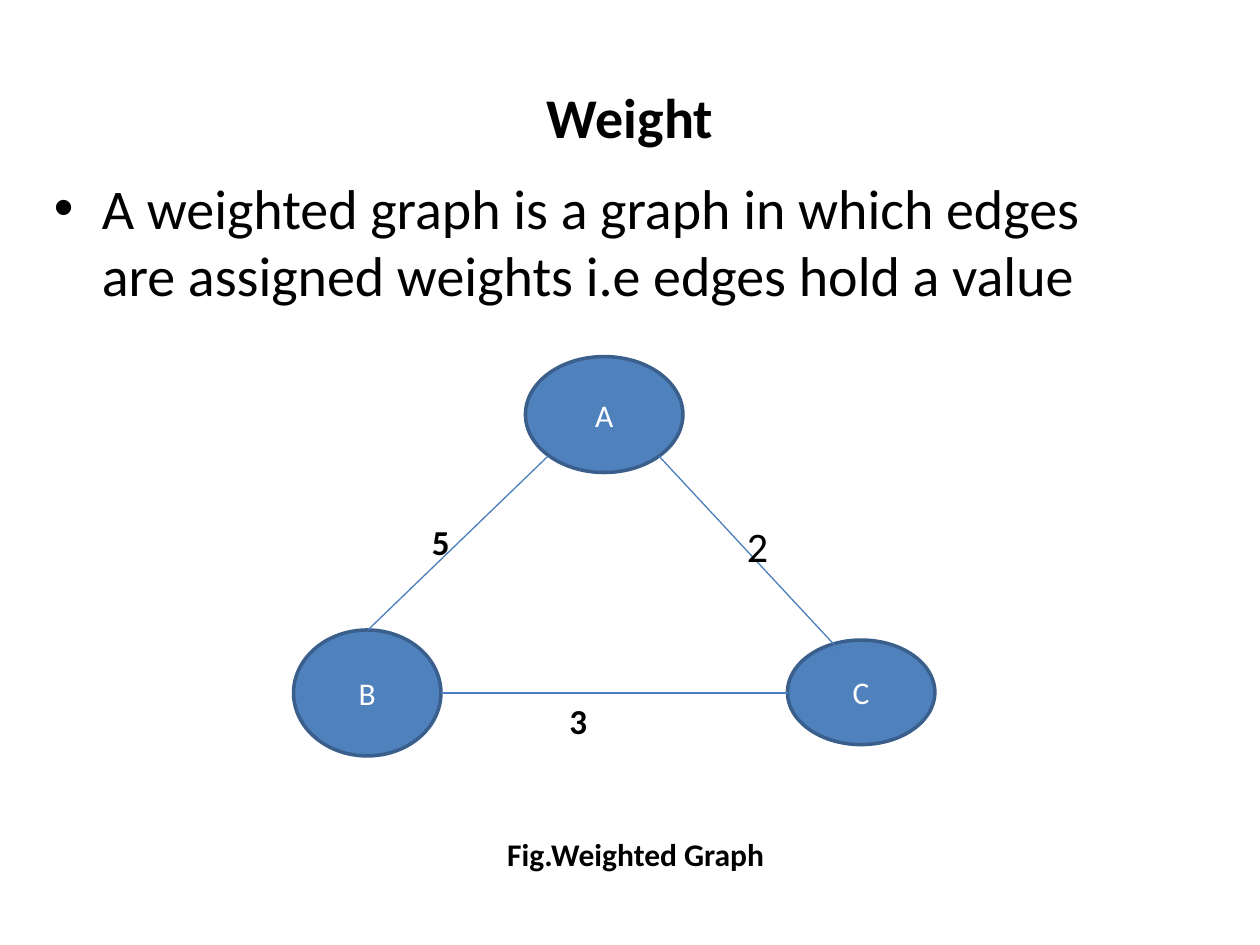
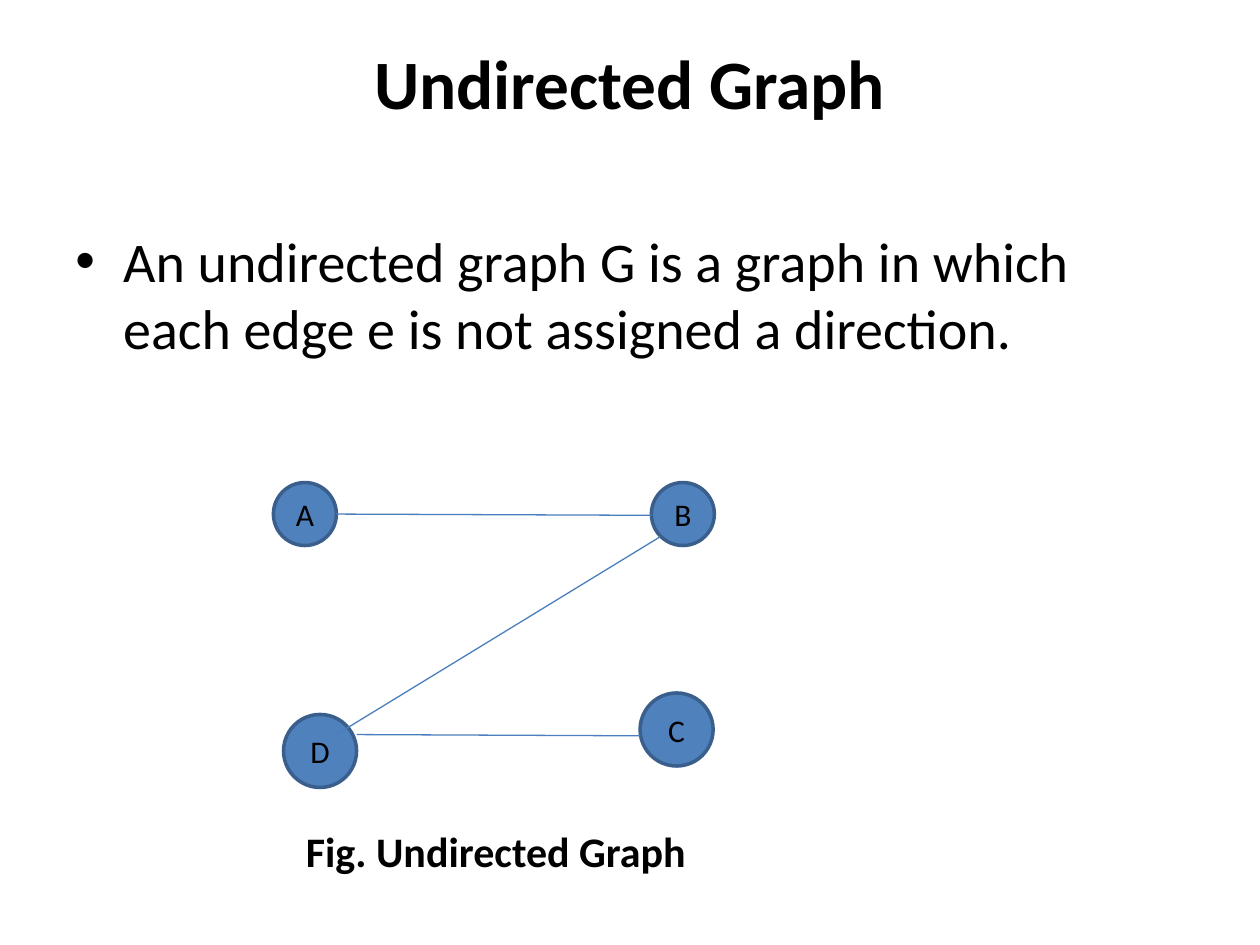
from dataclasses import dataclass

from lxml import etree
from pptx import Presentation
from pptx.dml.color import RGBColor
from pptx.enum.shapes import MSO_CONNECTOR, MSO_SHAPE
from pptx.enum.text import MSO_ANCHOR, PP_ALIGN
from pptx.oxml.ns import qn
from pptx.slide import Slide
from pptx.text.text import TextFrame
from pptx.util import Inches, Pt

ELLIPSE = MSO_SHAPE.OVAL
STRAIGHT = MSO_CONNECTOR.STRAIGHT
LEFT, CENTER = PP_ALIGN.LEFT, PP_ALIGN.CENTER
TOP, MIDDLE = MSO_ANCHOR.TOP, MSO_ANCHOR.MIDDLE

FONT = "Calibri"
COLORS = {
    "text": "000000",
    "light": "FFFFFF",
    "vertex": "4F81BD",
    "outline": "3A5F8C",
    "edge": "4B7EBC",
}


@dataclass(frozen=True)
class Label:
    text: str
    left: float
    top: float
    width: float
    height: float
    size: float
    bold: bool = True
    align: PP_ALIGN = LEFT
    anchor: MSO_ANCHOR = TOP
    bulleted: bool = False


@dataclass(frozen=True)
class Vertex:
    name: str
    left: float
    top: float
    width: float
    height: float


@dataclass(frozen=True)
class Edge:
    x1: float
    y1: float
    x2: float
    y2: float


@dataclass(frozen=True)
class GraphSlide:
    labels: list[Label]
    vertices: list[Vertex]
    edges: list[Edge]
    vertex_text: str


def title(text: str, height: float, size: float) -> Label:
    return Label(text, 0.5, 0.3, 9, height, size, align=CENTER, anchor=MIDDLE)


def definition(text: str, left: float, top: float) -> Label:
    return Label(text, left, top, 9, 4.95, 32, bold=False, bulleted=True)


def rgb(name: str) -> RGBColor:
    return RGBColor.from_string(COLORS[name])


def write(frame: TextFrame, text: str, size: float, color: str, bold: bool,
          align: PP_ALIGN, anchor: MSO_ANCHOR) -> None:
    frame.word_wrap = True
    frame.vertical_anchor = anchor
    paragraph = frame.paragraphs[0]
    paragraph.alignment = align
    run = paragraph.add_run()
    run.text = text
    run.font.name = FONT
    run.font.size = Pt(size)
    run.font.bold = bold
    run.font.color.rgb = rgb(color)


def add_bullet(frame: TextFrame) -> None:
    properties = frame.paragraphs[0]._p.get_or_add_pPr()
    properties.set("marL", str(Inches(0.38)))
    properties.set("indent", str(Inches(-0.38)))
    etree.SubElement(properties, qn("a:buFont")).set("typeface", "Arial")
    etree.SubElement(properties, qn("a:buChar")).set("char", "•")


def draw_label(slide: Slide, label: Label) -> None:
    frame = slide.shapes.add_textbox(
        Inches(label.left), Inches(label.top),
        Inches(label.width), Inches(label.height)).text_frame
    if label.bulleted:
        add_bullet(frame)
    write(frame, label.text, label.size, "text", label.bold, label.align, label.anchor)


def draw_vertex(slide: Slide, vertex: Vertex, text_color: str) -> None:
    ellipse = slide.shapes.add_shape(
        ELLIPSE, Inches(vertex.left), Inches(vertex.top),
        Inches(vertex.width), Inches(vertex.height))
    ellipse.shadow.inherit = False
    ellipse.fill.solid()
    ellipse.fill.fore_color.rgb = rgb("vertex")
    ellipse.line.color.rgb = rgb("outline")
    ellipse.line.width = Pt(2)
    write(ellipse.text_frame, vertex.name, 18, text_color, False, CENTER, MIDDLE)


def draw_edge(slide: Slide, edge: Edge) -> None:
    line = slide.shapes.add_connector(
        STRAIGHT, Inches(edge.x1), Inches(edge.y1), Inches(edge.x2), Inches(edge.y2))
    line.line.color.rgb = rgb("edge")
    line.line.width = Pt(0.75)
    etree.SubElement(line._element.spPr, qn("a:effectLst"))


def draw_slide(slide: Slide, content: GraphSlide) -> None:
    for vertex in content.vertices:
        draw_vertex(slide, vertex, content.vertex_text)
    for edge in content.edges:
        draw_edge(slide, edge)
    for label in content.labels:
        draw_label(slide, label)


WEIGHTED = GraphSlide(
    labels=[
        title("Weight", 1.25, 32),
        definition("A weighted graph is a graph in which edges are assigned weights "
                   "i.e edges hold a value", 0.33, 1.33),
        Label("5", 3.33, 4.08, 0.58, 0.44, 20),
        Label("2", 5.83, 4.08, 0.58, 0.5, 24, bold=False),
        Label("3", 4.42, 5.5, 0.83, 0.44, 20),
        Label("Fig.Weighted Graph", 2.92, 6.58, 4.25, 0.4, 18, align=CENTER),
    ],
    vertices=[
        Vertex("A", 4.17, 2.83, 1.25, 0.92),
        Vertex("B", 2.33, 5, 1.17, 1),
        Vertex("C", 6.25, 5.08, 1.17, 0.83),
    ],
    edges=[
        Edge(4.35, 3.62, 2.92, 5),
        Edge(5.23, 3.62, 6.67, 5.17),
        Edge(3.5, 5.5, 6.25, 5.5),
    ],
    vertex_text="light",
)

UNDIRECTED = GraphSlide(
    labels=[
        title("Undirected Graph", 0.7, 39.6),
        definition("An undirected graph G is a graph in which each edge e is not "
                   "assigned a direction.", 0.5, 1.75),
        Label("Fig. Undirected Graph", 2.33, 6.5, 3.5, 0.5, 24),
    ],
    vertices=[
        Vertex("A", 2.17, 3.83, 0.5, 0.5),
        Vertex("B", 5.17, 3.83, 0.5, 0.5),
        Vertex("D", 2.25, 5.67, 0.58, 0.58),
        Vertex("C", 5.08, 5.5, 0.58, 0.58),
    ],
    edges=[
        Edge(2.67, 4.08, 5.17, 4.09),
        Edge(5.24, 4.26, 2.67, 5.83),
        Edge(2.83, 5.83, 5.08, 5.84),
    ],
    vertex_text="text",
)


def main() -> None:
    deck = Presentation()
    deck.slide_width = Inches(10)
    deck.slide_height = Inches(7.5)
    blank = deck.slide_layouts[6]
    for content in (WEIGHTED, UNDIRECTED):
        draw_slide(deck.slides.add_slide(blank), content)
    deck.save("out.pptx")


if __name__ == "__main__":
    main()
